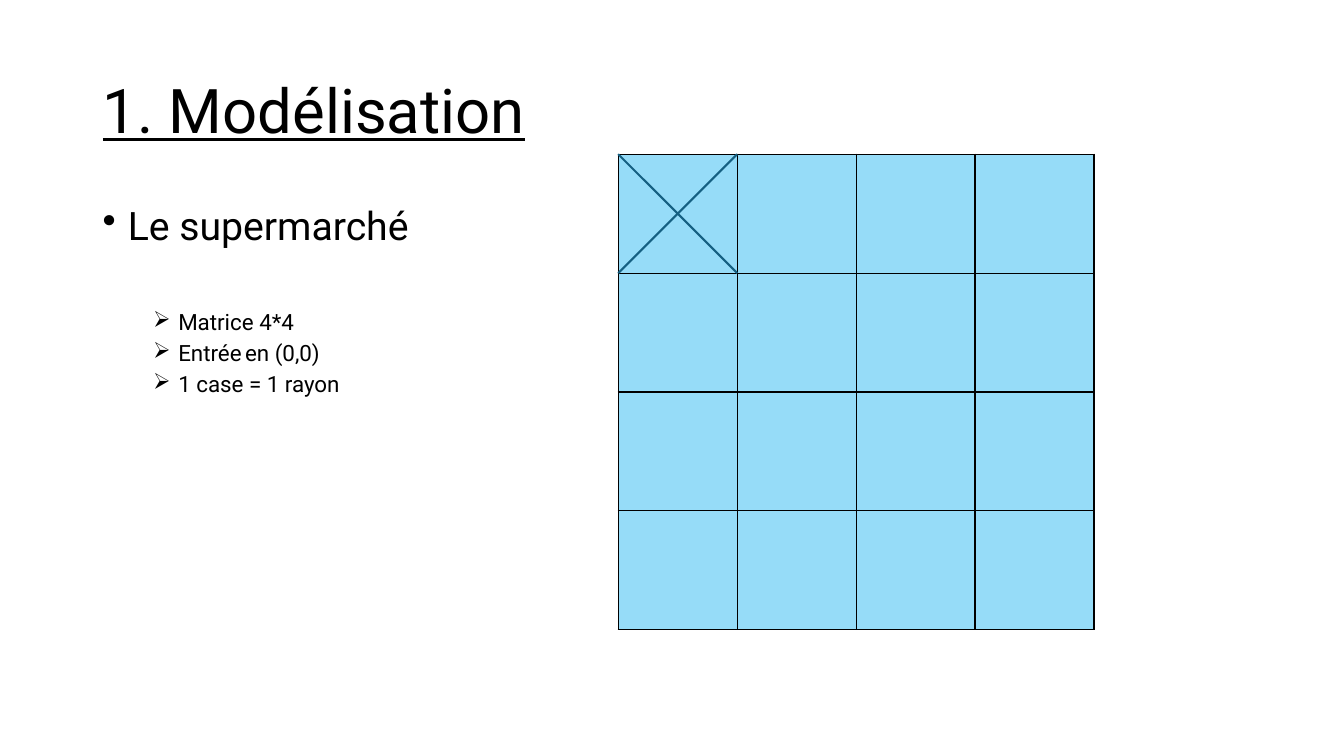
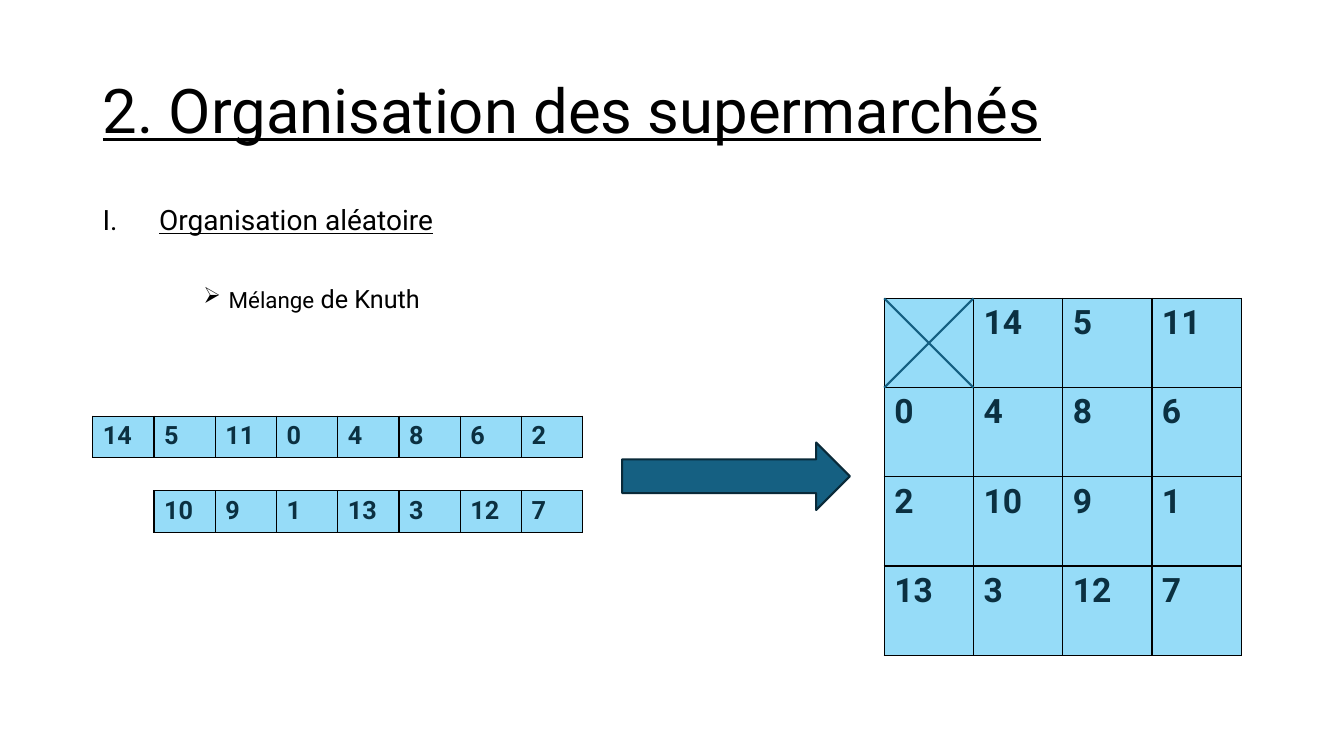
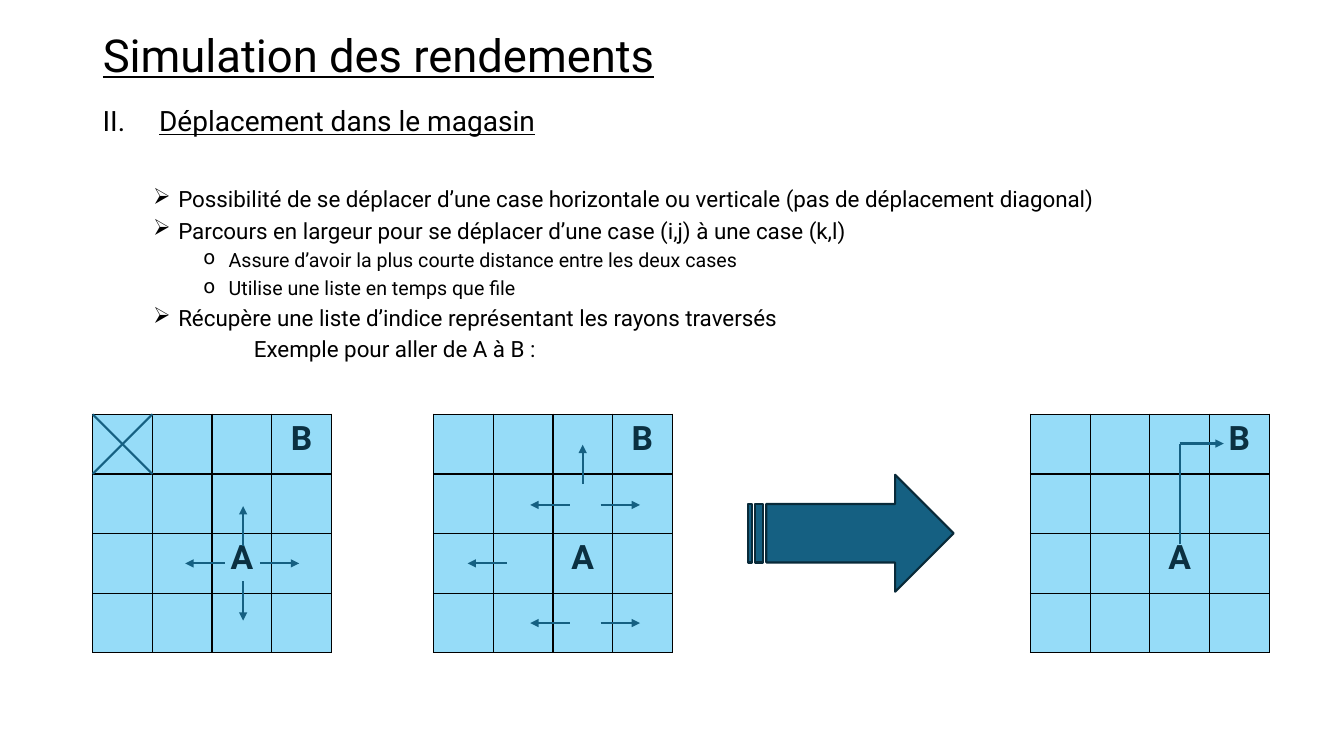
from dataclasses import dataclass
from typing import Any

import lxml.etree
import pptx
import pptx.dml.color
import pptx.enum.shapes
import pptx.enum.text
import pptx.oxml.ns
import pptx.util

# Shared look; every position is a percentage of the slide's width or height
WIDTH = pptx.util.Inches(13.33)
HEIGHT = pptx.util.Inches(7.5)
COLORS = {"text": "000000", "cell": "96DCF8", "label": "0B3041",
          "accent": "156082", "outline": "092A39"}
FONT = "Roboto"
MARGIN = 6.9
TEXT_WIDTH = 86.27
TITLE_FRAME = (MARGIN, 5.33, TEXT_WIDTH, 19.33)
BODY_FRAME = (MARGIN, 26.67, TEXT_WIDTH, 63.47)
Frame = tuple[float, float, float, float]
Point = tuple[float, float]


@dataclass(frozen=True)
class ListStyle:
    size: float
    margin: float = 0
    hanging: float = 0
    bullet: str = ""
    number: int = 0
    underline: bool = False


@dataclass(frozen=True)
class Item:
    runs: tuple[tuple[str, float], ...] | str
    style: ListStyle
    before: float = 5


@dataclass(frozen=True)
class Grid:
    left: float
    top: float
    cell_width: float
    rows: tuple[tuple[str, ...], ...]
    size: float = 24
    cell_height: float = 0  # zero means square cells
    centered: bool = False
    crossed: bool = False

    def cell_size(self) -> tuple[int, int]:
        width = across(self.cell_width)
        return width, down(self.cell_height) if self.cell_height else width

    def point(self, column: float, row: float) -> tuple[int, int]:
        width, height = self.cell_size()
        return (across(self.left) + round(column * width),
                down(self.top) + round(row * height))


TOPIC = ListStyle(28, 0.25, 0.25, "•")
SECTION_ONE = ListStyle(20, 0.56, 0.56, number=1, underline=True)
SECTION_TWO = ListStyle(20, 0.56, 0.56, number=2, underline=True)
POINT = ListStyle(16, 0.75, 0.25, "➢")
INNER_POINT = ListStyle(16, 1.25, 0.25, "➢")
DETAIL = ListStyle(14, 1.25, 0.25, "o")
EXAMPLE = ListStyle(16, 1.5)


def across(share: float) -> int:
    return round(WIDTH * share / 100)


def down(share: float) -> int:
    return round(HEIGHT * share / 100)


def place(frame: Frame) -> tuple[int, int, int, int]:
    left, top, width, height = frame
    return across(left), down(top), across(width), down(height)


def color(name: str) -> pptx.dml.color.RGBColor:
    return pptx.dml.color.RGBColor.from_string(COLORS[name])


def add_xml(parent: Any, tag: str, **attributes: str) -> Any:
    return lxml.etree.SubElement(parent, pptx.oxml.ns.qn(tag), attributes)


def format_font(font: Any, size: float, color_name: str = "text", **formats: bool) -> None:
    values = {"name": FONT, "size": pptx.util.Pt(size), **formats}
    for name, value in values.items():
        setattr(font, name, value)
    font.color.rgb = color(color_name)


# Text
def add_titled_slide(presentation: Any, text: str, frame: Frame = TITLE_FRAME,
                     size: float = 44) -> Any:
    slide = presentation.slides.add_slide(presentation.slide_layouts[5])
    title = slide.shapes.title
    for name, value in zip(("left", "top", "width", "height"), place(frame)):
        setattr(title, name, value)
    title.text_frame.auto_size = pptx.enum.text.MSO_AUTO_SIZE.NONE
    title.text_frame.vertical_anchor = pptx.enum.text.MSO_ANCHOR.MIDDLE
    paragraph = title.text_frame.paragraphs[0]
    paragraph.alignment = pptx.enum.text.PP_ALIGN.LEFT
    paragraph.line_spacing = 0.9
    run = paragraph.add_run()
    run.text = text
    format_font(run.font, size, underline=True)
    return slide


def add_list(slide: Any, items: tuple[Item, ...], frame: Frame = BODY_FRAME) -> None:
    text_frame = slide.shapes.add_textbox(*place(frame)).text_frame
    text_frame.word_wrap = True
    for index, item in enumerate(items):
        paragraph = text_frame.add_paragraph() if index else text_frame.paragraphs[0]
        style = item.style
        paragraph.line_spacing = 0.9
        if index:
            paragraph.space_before = pptx.util.Pt(item.before)
        properties = paragraph._p.get_or_add_pPr()
        properties.set("marL", str(pptx.util.Inches(style.margin)))
        properties.set("indent", str(-pptx.util.Inches(style.hanging)))
        if style.number:
            add_xml(properties, "a:buAutoNum", type="romanUcPeriod",
                    startAt=str(style.number))
        elif style.bullet:
            add_xml(properties, "a:buChar", char=style.bullet)
        runs = ((item.runs, style.size),) if isinstance(item.runs, str) else item.runs
        for text, size in runs:
            run = paragraph.add_run()
            run.text = text
            format_font(run.font, size, underline=style.underline)


# Grids, lines and arrows
def add_line(slide: Any, start: tuple[int, int], end: tuple[int, int],
             arrow: bool = False) -> None:
    connector = slide.shapes.add_connector(
        pptx.enum.shapes.MSO_CONNECTOR.STRAIGHT, *start, *end)
    connector.line.color.rgb = color("accent")
    connector.line.width = pptx.util.Pt(1.5)
    properties = connector.element.spPr
    if arrow:
        add_xml(properties.find(pptx.oxml.ns.qn("a:ln")), "a:tailEnd", type="triangle")
    add_xml(properties, "a:effectLst")


def format_cell(cell: Any, text: str, grid: Grid) -> None:
    properties = cell._tc.get_or_add_tcPr()
    for side in "LRTB":
        border = add_xml(properties, f"a:ln{side}", w=str(pptx.util.Pt(1)))
        add_xml(add_xml(border, "a:solidFill"), "a:srgbClr", val=COLORS["text"])
    cell.fill.solid()
    cell.fill.fore_color.rgb = color("cell")
    if text:
        paragraph = cell.text_frame.paragraphs[0]
        if grid.centered:
            paragraph.alignment = pptx.enum.text.PP_ALIGN.CENTER
        run = paragraph.add_run()
        run.text = text
        format_font(run.font, grid.size, "label", bold=True)


def add_grid(slide: Any, grid: Grid) -> None:
    row_count, column_count = len(grid.rows), len(grid.rows[0])
    width, height = grid.cell_size()
    table = slide.shapes.add_table(
        row_count, column_count, *grid.point(0, 0),
        width * column_count, height * row_count).table
    table.first_row = table.horz_banding = False
    for column in table.columns:
        column.width = width
    for row_index, texts in enumerate(grid.rows):
        table.rows[row_index].height = height
        for column_index, text in enumerate(texts):
            format_cell(table.cell(row_index, column_index), text, grid)
    if grid.crossed:
        add_line(slide, grid.point(0, 0), grid.point(1, 1))
        add_line(slide, grid.point(1, 0), grid.point(0, 1))


def add_moves(slide: Any, grid: Grid, moves: tuple[tuple[Point, Point], ...]) -> None:
    """Draw arrows given as a start cell position and a direction."""
    reach = 0.66
    for (column, row), (right, below) in moves:
        add_line(slide, grid.point(column, row),
                 grid.point(column + reach * right, row + reach * below), arrow=True)


def add_block_arrow(slide: Any, preset: Any, frame: Frame) -> None:
    shape = slide.shapes.add_shape(preset, *place(frame))
    shape.shadow.inherit = False
    shape.fill.solid()
    shape.fill.fore_color.rgb = color("accent")
    shape.line.color.rgb = color("outline")
    shape.line.width = pptx.util.Pt(1.5)


# Slides
def build_model(presentation: Any) -> None:
    slide = add_titled_slide(presentation, "1. Modélisation")
    add_list(slide, (
        Item("Le supermarché", TOPIC),
        Item("Matrice 4*4", POINT, before=44.5),
        Item((("Entrée", 16), (" ", 10), ("en (0,0)", 16)), POINT),
        Item("1 case = 1 rayon", POINT),
    ))
    add_grid(slide, Grid(46, 20.4, 8.85, (("",) * 4,) * 4, crossed=True))


def build_organisation(presentation: Any) -> None:
    slide = add_titled_slide(presentation, "2. Organisation des supermarchés")
    add_list(slide, (
        Item("Organisation aléatoire", SECTION_ONE),
        Item((("Mélange", 16), (" de Knuth", 18)), INNER_POINT, before=35.3),
    ))
    shuffled = ("14", "5", "11", "0", "4", "8", "6", "2",
                "10", "9", "1", "13", "3", "12", "7")
    strip_cell = 4.56
    for left, top, values in ((MARGIN, 55.07, shuffled[:8]),
                              (MARGIN + strip_cell, 64.93, shuffled[8:])):
        add_grid(slide, Grid(left, top, strip_cell, (values,), 18, cell_height=5.47))
    cells = ("",) + shuffled
    matrix = tuple(cells[start:start + 4] for start in range(0, 16, 4))
    add_grid(slide, Grid(65.79, 39.47, 6.64, matrix, crossed=True))
    add_block_arrow(slide, pptx.enum.shapes.MSO_SHAPE.RIGHT_ARROW,
                    (46.29, 58.53, 16.95, 8.93))


def build_simulation(presentation: Any) -> None:
    slide = add_titled_slide(presentation, "Simulation des rendements",
                             (MARGIN, 5.33, 71.04, 4.67), 32.4)
    add_list(slide, (
        Item("Déplacement dans le magasin", SECTION_TWO),
        Item("Possibilité de se déplacer d’une case horizontale ou verticale "
             "(pas de déplacement diagonal)", POINT, before=36.1),
        Item("Parcours en largeur pour se déplacer d’une case (i,j) "
             "à une case (k,l)", POINT),
        Item("Assure d’avoir la plus courte distance entre les deux cases", DETAIL),
        Item("Utilise une liste en temps que file", DETAIL),
        Item("Récupère une liste d’indice représentant les rayons traversés", POINT),
        Item("Exemple pour aller de A à B :", EXAMPLE),
    ), (MARGIN, 13.6, TEXT_WIDTH, 76.4))

    empty = ("",) * 4
    rows = (("", "", "", "B"), empty, ("", "", "A", ""), empty)
    first, second, result = (
        Grid(left, 54.8, 4.44, rows, centered=True, crossed=crossed)
        for left, crossed in ((MARGIN, True), (32.26, False), (76.67, False)))
    for grid in (first, second, result):
        add_grid(slide, grid)

    left, right, up, below = (-1, 0), (1, 0), (0, -1), (0, 1)
    add_moves(slide, first, (
        ((2.8, 2.5), right), ((2.52, 2.8), below),
        ((2.21, 2.5), left), ((2.52, 2.2), up)))
    add_moves(slide, second, (
        ((2.5, 1.17), up), ((1.23, 2.5), left),
        ((2.8, 1.52), right), ((2.28, 1.52), left),
        ((2.8, 3.5), right), ((2.28, 3.5), left)))
    corner = result.point(2.5, 0.49)
    add_line(slide, result.point(2.5, 2.18), corner)
    add_line(slide, corner, result.point(3.24, 0.49), arrow=True)
    add_block_arrow(slide, pptx.enum.shapes.MSO_SHAPE.STRIPED_RIGHT_ARROW,
                    (55.66, 62.8, 15.3, 15.47))


def main() -> None:
    presentation = pptx.Presentation()
    presentation.slide_width = WIDTH
    presentation.slide_height = HEIGHT
    for build in (build_model, build_organisation, build_simulation):
        build(presentation)
    presentation.save("out.pptx")


if __name__ == "__main__":
    main()
